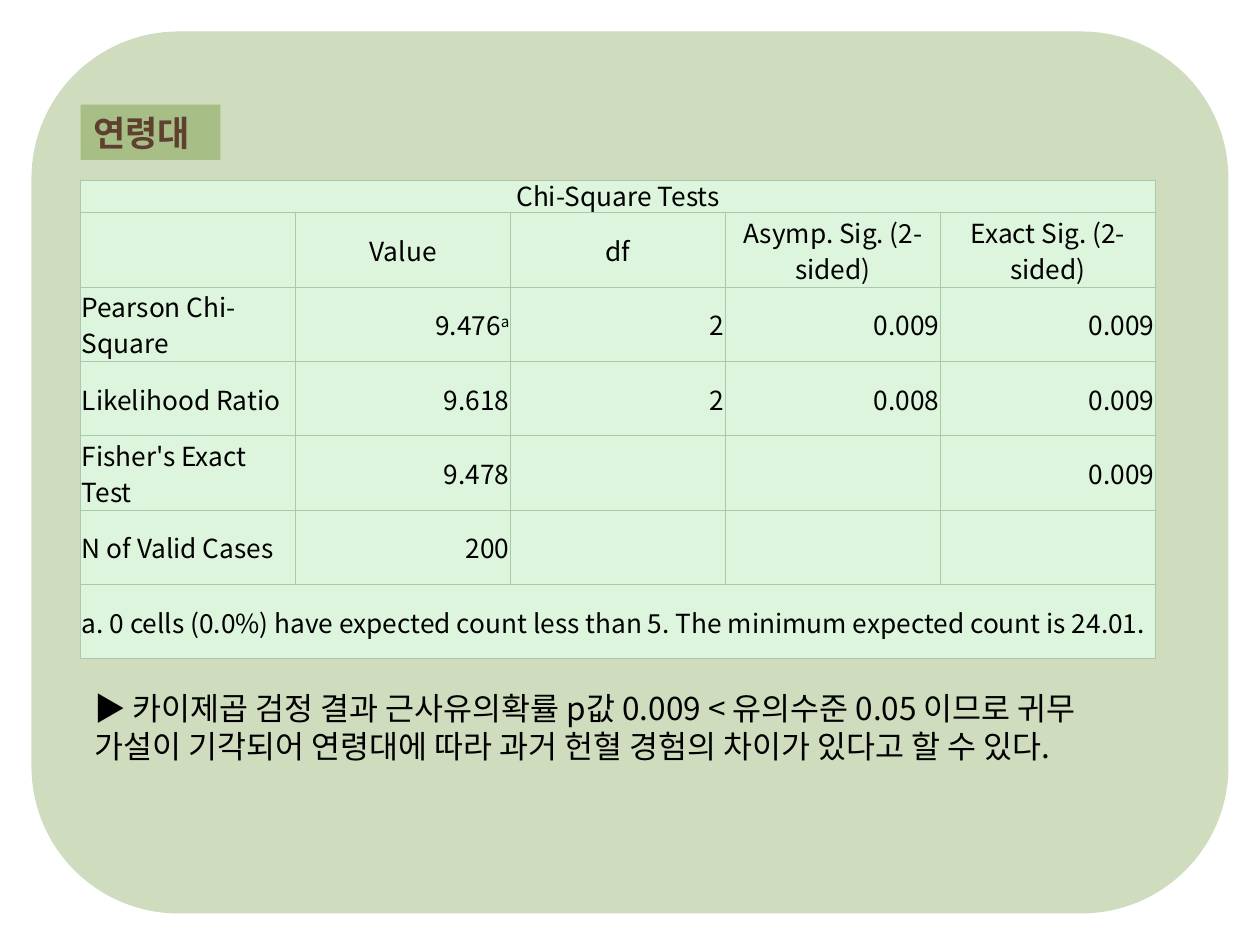
from lxml.etree import SubElement
from pptx import Presentation
from pptx.dml.color import RGBColor
from pptx.enum.shapes import MSO_SHAPE
from pptx.enum.text import MSO_ANCHOR, MSO_AUTO_SIZE, PP_ALIGN
from pptx.oxml.ns import qn
from pptx.util import Inches, Pt

FONT = "Noto Sans CJK KR"
TITLE = "Chi-Square Tests"
HEADERS = ["", "Value", "df", "Asymp. Sig. (2-sided)", "Exact Sig. (2-sided)"]
RESULTS = [
    ["Pearson Chi-Square", "9.476", "2", "0.009", "0.009"],
    ["Likelihood Ratio", "9.618", "2", "0.008", "0.009"],
    ["Fisher's Exact Test", "9.478", "", "", "0.009"],
    ["N of Valid Cases", "200", "", "", ""],
]
FOOTNOTE = ("a. 0 cells (0.0%) have expected count less than 5. "
            "The minimum expected count is 24.01.")
CONCLUSION = ("▶ 카이제곱 검정 결과 근사유의확률 p값 0.009 < 유의수준 0.05 이므로 귀무 "
              "가설이 기각되어 연령대에 따라 과거 헌혈 경험의 차이가 있다고 할 수 있다.")


def color(hex_value):
    return RGBColor.from_string(hex_value)


def paint(fill, hex_value):
    fill.solid()
    fill.fore_color.rgb = color(hex_value)


def add_run(paragraph, text, size, hex_value="000000", bold=False):
    run = paragraph.add_run()
    run.text = text
    run.font.size = Pt(size)
    run.font.name = FONT
    run.font.bold = bold
    run.font.color.rgb = color(hex_value)
    return run


def add_panel(slide):
    """Draw the rounded background behind everything else."""
    panel = slide.shapes.add_shape(MSO_SHAPE.ROUNDED_RECTANGLE, Inches(0.25),
                                   Inches(0.25), Inches(9.5), Inches(7))
    panel.shadow.inherit = False
    paint(panel.fill, "CFDCBE")
    panel.line.fill.background()
    slide.shapes._spTree.insert(2, panel._element)


def set_heading(slide, text):
    heading = slide.shapes.title
    heading.left, heading.top = Inches(0.64), Inches(0.83)
    heading.width, heading.height = Inches(1.11), Inches(0.44)
    paint(heading.fill, "A7BF87")
    frame = heading.text_frame
    frame.auto_size = MSO_AUTO_SIZE.NONE
    frame.vertical_anchor = MSO_ANCHOR.MIDDLE
    paragraph = frame.paragraphs[0]
    paragraph.alignment = PP_ALIGN.LEFT
    add_run(paragraph, text, 20, "5F3F30", bold=True)


def style_cell(cell):
    cell.margin_left = cell.margin_right = cell.margin_top = Inches(0.01)
    cell.margin_bottom = 0
    cell.vertical_anchor = MSO_ANCHOR.MIDDLE
    properties = cell._tc.get_or_add_tcPr()
    for side in ("lnL", "lnR", "lnT", "lnB"):
        border = SubElement(properties, qn(f"a:{side}"), w=str(Pt(0.75)))
        fill = SubElement(border, qn("a:solidFill"))
        SubElement(fill, qn("a:srgbClr"), val="ABC8AB")
    paint(cell.fill, "DDF5DD")


def write_cell(cell, text, alignment, line_spacing=0.95):
    """Fill a cell; the tight spacing keeps two lines within the row height."""
    paragraph = cell.text_frame.paragraphs[0]
    paragraph.alignment = alignment
    paragraph.line_spacing = line_spacing
    if text:
        add_run(paragraph, text, 15)
    return paragraph


def add_test_table(slide):
    row_count, column_count = len(RESULTS) + 3, len(HEADERS)
    table = slide.shapes.add_table(row_count, column_count, Inches(0.64),
                                   Inches(1.43), Inches(8.53), Inches(3.8)).table
    table.first_row = table.horz_banding = False
    for index, row in enumerate(table.rows):
        row.height = Inches(0.59 if index else 0.26)
    for cell in table.iter_cells():
        style_cell(cell)

    last = row_count - 1
    for row, text, alignment, spacing in ((0, TITLE, PP_ALIGN.CENTER, 0.8),
                                          (last, FOOTNOTE, PP_ALIGN.LEFT, 1.0)):
        table.cell(row, 0).merge(table.cell(row, column_count - 1))
        write_cell(table.cell(row, 0), text, alignment, spacing)
    for column, header in enumerate(HEADERS):
        write_cell(table.cell(1, column), header, PP_ALIGN.CENTER)
    for row, values in enumerate(RESULTS, start=2):
        for column, value in enumerate(values):
            alignment = PP_ALIGN.RIGHT if column else PP_ALIGN.LEFT
            paragraph = write_cell(table.cell(row, column), value, alignment)
            if (row, column) == (2, 1):
                footnote_mark = add_run(paragraph, "a", 15)
                footnote_mark.font._element.set("baseline", "30000")


def add_conclusion(slide, text):
    box = slide.shapes.add_textbox(Inches(0.65), Inches(5.42),
                                   Inches(8.51), Inches(1.01))
    box.text_frame.word_wrap = True
    add_run(box.text_frame.paragraphs[0], text, 18)


def main():
    presentation = Presentation()
    presentation.slide_width, presentation.slide_height = Inches(10), Inches(7.5)
    title_only = presentation.slide_layouts[5]
    slide = presentation.slides.add_slide(title_only)
    add_panel(slide)
    set_heading(slide, "연령대")
    add_test_table(slide)
    add_conclusion(slide, CONCLUSION)
    presentation.save("out.pptx")


if __name__ == "__main__":
    main()
